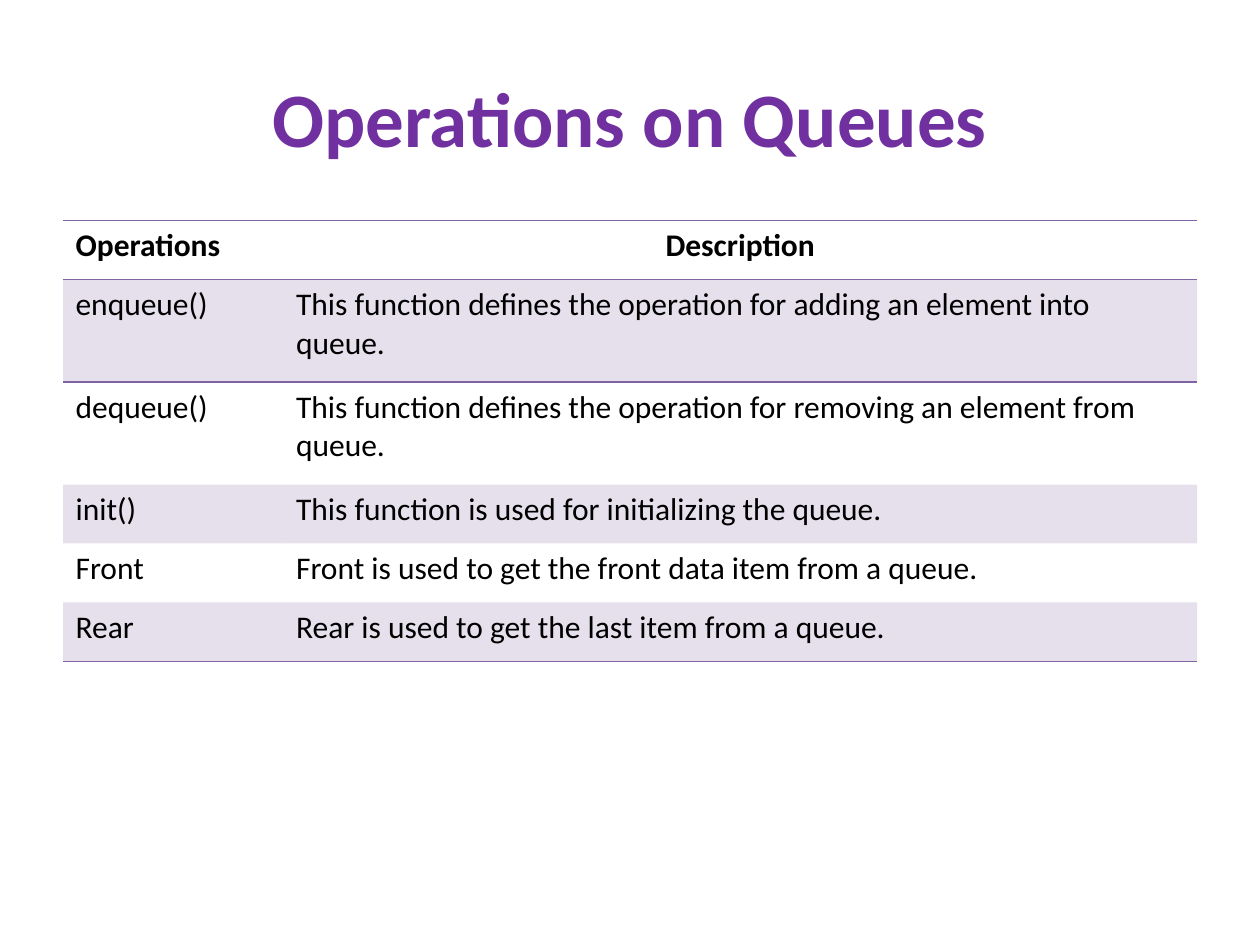
from dataclasses import dataclass

from lxml import etree
from pptx import Presentation
from pptx.dml.color import RGBColor
from pptx.enum.text import MSO_ANCHOR, PP_ALIGN
from pptx.oxml.ns import qn
from pptx.util import Pt

LEFT, CENTER = PP_ALIGN.LEFT, PP_ALIGN.CENTER
MIDDLE = MSO_ANCHOR.MIDDLE
PLAIN_TABLE_STYLE = "{2D5ABB26-0587-4C30-8999-92F81FD0307C}"


@dataclass(frozen=True)
class Theme:
    font: str = "Calibri"
    title_color: str = "7030A0"
    text_color: str = "000000"
    accent: str = "8064A2"
    band_opacity: int = 20
    title_size: int = 44
    table_size: int = 18
    rule_width: int = 1


THEME = Theme()
COLUMN_WIDTHS = (126, 522)
ROW_HEIGHTS = (33.7, 58.6, 58.6, 33.7, 33.7, 33.7)
OPERATIONS = (
    ("Operations", "Description"),
    ("enqueue()", "This function defines the operation for adding an element into queue."),
    ("dequeue()", "This function defines the operation for removing an element from queue."),
    ("init()", "This function is used for initializing the queue."),
    ("Front", "Front is used to get the front data item from a queue."),
    ("Rear", "Rear is used to get the last item from a queue."),
)


def add_text(text_frame, text, size, color, bold, alignment):
    paragraph = text_frame.paragraphs[0]
    paragraph.alignment = alignment
    run = paragraph.add_run()
    run.text = text
    run.font.name = THEME.font
    run.font.size = Pt(size)
    run.font.bold = bold
    run.font.color.rgb = RGBColor.from_string(color)


def add_accent_fill(parent, opacity=100):
    fill = etree.SubElement(parent, qn("a:solidFill"))
    color = etree.SubElement(fill, qn("a:srgbClr"), val=THEME.accent)
    if opacity < 100:
        etree.SubElement(color, qn("a:alpha"), val=str(opacity * 1000))


def style_cell(cell, banded, rules):
    cell.fill.background()
    properties = cell._tc.get_or_add_tcPr()
    if banded:
        properties.remove(properties.find(qn("a:noFill")))
        add_accent_fill(properties, THEME.band_opacity)
    for position, side in enumerate(rules):
        line = etree.Element(qn(f"a:{side}"), w=str(Pt(THEME.rule_width)))
        add_accent_fill(line)
        properties.insert(position, line)


def add_title(slide, text, left, top, width, height):
    shape = slide.shapes.add_textbox(Pt(left), Pt(top), Pt(width), Pt(height))
    shape.text_frame.word_wrap = True
    shape.text_frame.vertical_anchor = MIDDLE
    add_text(shape.text_frame, text, THEME.title_size, THEME.title_color, True, CENTER)


def add_operations_table(slide, rows, left, top):
    shape = slide.shapes.add_table(
        len(rows), len(COLUMN_WIDTHS), Pt(left), Pt(top),
        Pt(sum(COLUMN_WIDTHS)), Pt(sum(ROW_HEIGHTS)))
    table = shape.table
    table.horz_banding = False
    next(shape.element.iter(qn("a:tableStyleId"))).text = PLAIN_TABLE_STYLE
    for column, width in zip(table.columns, COLUMN_WIDTHS):
        column.width = Pt(width)
    for row, height in zip(table.rows, ROW_HEIGHTS):
        row.height = Pt(height)
    rules = {0: ("lnT", "lnB"), 1: ("lnT",), len(rows) - 1: ("lnB",)}
    for row_index, texts in enumerate(rows):
        header = row_index == 0
        for column_index, text in enumerate(texts):
            cell = table.cell(row_index, column_index)
            alignment = CENTER if header and column_index == 1 else LEFT
            add_text(cell.text_frame, text, THEME.table_size, THEME.text_color, header, alignment)
            style_cell(cell, row_index % 2 == 1, rules.get(row_index, ()))


def build_slide(presentation):
    slide = presentation.slides.add_slide(presentation.slide_layouts[6])
    add_title(slide, "Operations on Queues", 36, 21.6, 648, 90)
    add_operations_table(slide, OPERATIONS, 36, 126)


presentation = Presentation()
presentation.slide_width = Pt(720)
presentation.slide_height = Pt(540)
build_slide(presentation)
presentation.save("out.pptx")
